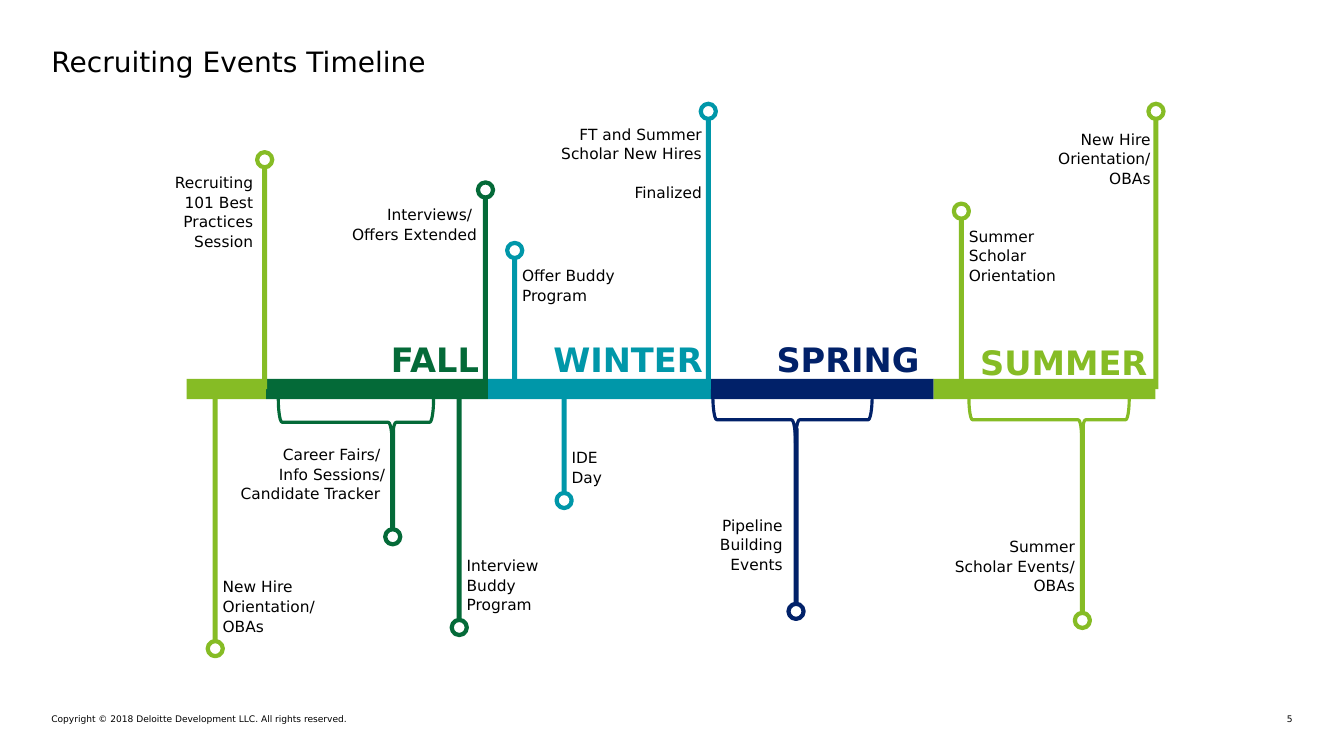
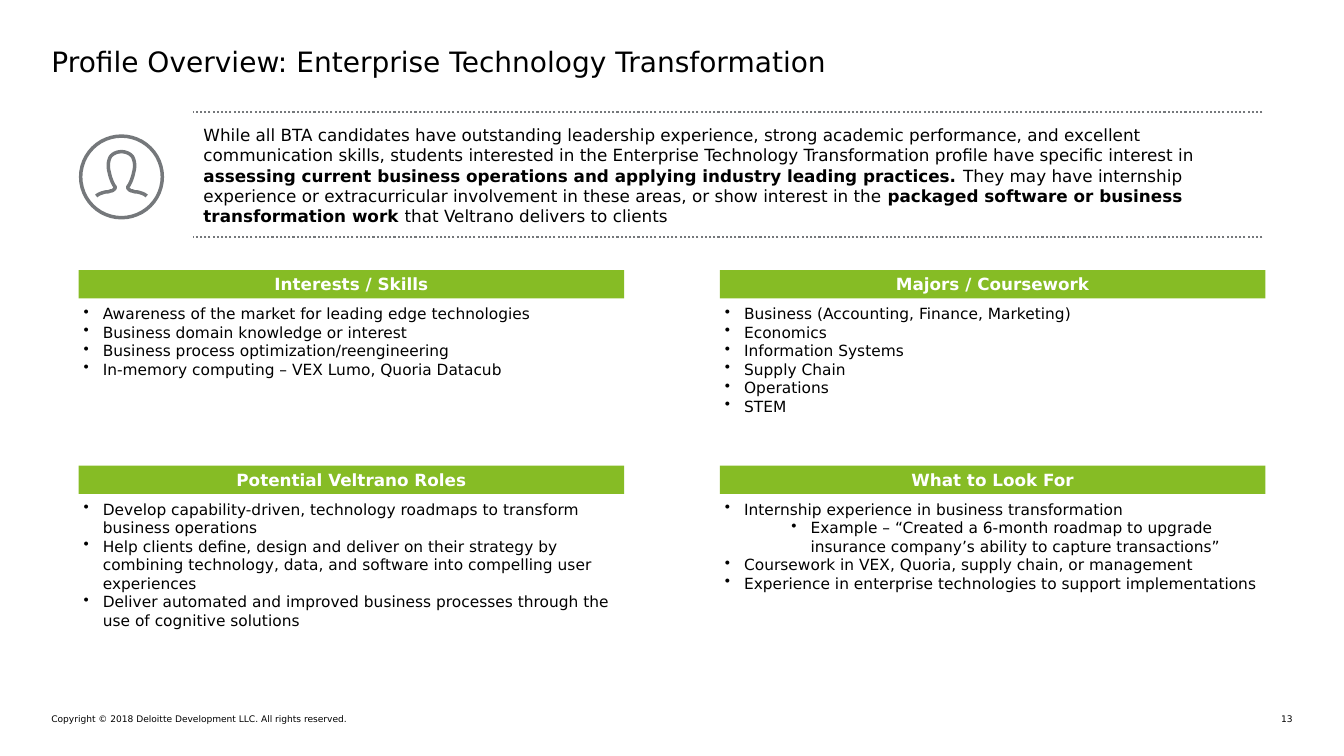
"""Build a recruiting timeline and a candidate profile slide."""
import dataclasses

import lxml.etree
import pptx
import pptx.dml.color
import pptx.enum.dml
import pptx.enum.shapes
import pptx.enum.text
import pptx.oxml.ns
import pptx.util

Inches = pptx.util.Inches
SHAPE = pptx.enum.shapes.MSO_SHAPE
ALIGN = pptx.enum.text.PP_ALIGN
ANCHOR = pptx.enum.text.MSO_ANCHOR


@dataclasses.dataclass(frozen=True)
class Theme:
    """Colours, type sizes and line widths of the deck."""
    font: str = "DejaVu Sans"
    black: str = "000000"
    white: str = "FFFFFF"
    grey: str = "75787B"
    lime: str = "86BC25"
    green: str = "046A38"
    teal: str = "0097A9"
    navy: str = "012169"
    title: float = 20
    season: float = 24
    heading: float = 12
    body: float = 11
    footer: float = 6.5
    ring_line: float = 3
    brace_line: float = 2.25
    icon_line: float = 2.5
    rule_line: float = 1.5


@dataclasses.dataclass(frozen=True)
class Box:
    """A rectangle in inches."""
    left: float
    top: float
    width: float
    height: float

    def inside(self, left, top, width, height):
        """Return a box offset from this one's top left corner."""
        return Box(self.left + left, self.top + top, width, height)

    def lengths(self):
        """Return the four lengths for a shape call."""
        return [Inches(value) for value in dataclasses.astuple(self)]


THEME = Theme()
NO_INSET = (0, 0, 0, 0)
TEXT_INSET = (0.1, 0.05, 0.1, 0.05)
COPYRIGHT = "Copyright © 2018 Deloitte Development LLC. All rights reserved."


def colour(code):
    """Turn a hex code into a colour."""
    return pptx.dml.color.RGBColor.from_string(code)


def apply(target, values):
    """Set each named attribute on the target."""
    for name, value in values.items():
        setattr(target, name, value)


def add_spans(para, spans, size, ink, bold=False):
    """Add a string, or (text, bold) pairs, to a paragraph."""
    if isinstance(spans, str):
        spans = [(spans, bold)]
    for text, weight in spans:
        span = para.add_run()
        span.text = text
        apply(span.font, {"name": THEME.font, "size": pptx.util.Pt(size), "bold": weight})
        span.font.color.rgb = colour(ink)


def fill_frame(frame, paras, size, ink=THEME.black, bold=False, inset=NO_INSET,
               anchor=ANCHOR.TOP, **layout):
    """Write paragraphs into a text frame and return them."""
    sides = ("margin_left", "margin_top", "margin_right", "margin_bottom")
    apply(frame, dict(zip(sides, map(Inches, inset))))
    apply(frame, {"word_wrap": True, "vertical_anchor": anchor})
    for index, spans in enumerate(paras):
        para = frame.add_paragraph() if index else frame.paragraphs[0]
        apply(para, layout)
        add_spans(para, spans, size, ink, bold)
    return frame.paragraphs


def add_text(page, box, paras, size, **style):
    """Add a text box and return its paragraphs."""
    frame = page.shapes.add_textbox(*box.lengths()).text_frame
    return fill_frame(frame, paras, size, **style)


def style_shape(shape, fill=None, line=None, width=0):
    """Give a shape a flat fill and an optional outline."""
    shape.shadow.inherit = False
    if fill:
        shape.fill.solid()
        shape.fill.fore_color.rgb = colour(fill)
    else:
        shape.fill.background()
    if line:
        shape.line.color.rgb = colour(line)
        shape.line.width = pptx.util.Pt(width)
    else:
        shape.line.fill.background()
    return shape


def add_shape(page, kind, box, **style):
    """Add a flat preset shape."""
    return style_shape(page.shapes.add_shape(kind, *box.lengths()), **style)


def add_page(deck, title, number):
    """Add a blank slide with title, copyright line and number."""
    page = deck.slides.add_slide(deck.slide_layouts[6])
    add_text(page, Box(0.51, 0.44, 12.31, 0.37), [title], THEME.title)
    add_text(page, Box(0.51, 7.08, 5.86, 0.11), [COPYRIGHT], THEME.footer)
    add_text(page, Box(12.48, 7.08, 0.34, 0.11), [number], THEME.footer,
             alignment=ALIGN.RIGHT)
    return page


@dataclasses.dataclass(frozen=True)
class Event:
    """A ringed stem, measured from the axis corner, with its label."""
    ink: str
    stem: float
    ring: float
    label_top: float
    label_width: float
    lines: int
    paras: tuple
    reach: float = 0
    base: float = 0.1
    gap: float = 0


SEASONS = (
    ("", THEME.lime, 0.79, 0, 0),
    ("FALL", THEME.green, 2.2, 0.09, 0.4),
    ("WINTER", THEME.teal, 2.21, 0.08, 0.4),
    ("SPRING", THEME.navy, 2.21, 0.14, 0.4),
    ("SUMMER", THEME.lime, 2.2, 0.08, 0.37),
)

BRACES = (
    (THEME.green, 0.91, 0.2, 1.54, 0.46, 2.04),
    (THEME.navy, 5.22, 0.17, 1.58, 0.47, 6.04),
    (THEME.lime, 7.76, 0.19, 1.59, 0.43, 8.88),
)

EVENTS = (
    Event(THEME.lime, 0.75, -2.25, -2.1, 1.06, 4,
          ("Recruiting 101 Best Practices Session",), 0.01),
    Event(THEME.green, 2.94, -1.95, -1.78, 1.89, 2,
          ("Interviews/ ", "Offers Extended"), 0.04),
    Event(THEME.teal, 5.15, -2.73, -2.58, 1.62, 4,
          ("FT and Summer Scholar New Hires", "Finalized"), 0.06, gap=13.6),
    Event(THEME.lime, 9.59, -2.73, -2.53, 1.22, 3,
          ("New Hire Orientation/ OBAs",), 0.07),
    Event(THEME.lime, 0.26, 2.6, 1.91, 1.14, 3, ("New Hire Orientation/ OBAs",)),
    Event(THEME.green, 2.02, 1.49, 0.6, 1.68, 3,
          ("Career Fairs/ ", "Info Sessions/", "Candidate Tracker "), 0.05, 0.5),
    Event(THEME.green, 2.68, 2.39, 1.7, 1.18, 3, ("Interview Buddy Program",)),
    Event(THEME.teal, 3.23, -1.35, -1.18, 1.33, 2, ("Offer Buddy", "Program")),
    Event(THEME.teal, 3.72, 1.13, 0.63, 0.58, 2, ("IDE Day",)),
    Event(THEME.navy, 6.02, 2.23, 1.3, 2.04, 3,
          ("Pipeline ", "Building ", "Events "), 0.04, 0.49),
    Event(THEME.lime, 7.66, -1.74, -1.57, 1.19, 3, ("Summer Scholar Orientation",)),
    Event(THEME.lime, 8.86, 2.32, 1.51, 1.45, 3,
          ("Summer Scholar Events/ OBAs",), 0.05, 0.44),
)


def draw_seasons(page, axis):
    """Lay the season bars end to end, each name above its right end."""
    left = 0
    for name, ink, width, margin, rise in SEASONS:
        add_shape(page, SHAPE.RECTANGLE, axis.inside(left, 0, width, axis.height), fill=ink)
        left += width
        if name:
            add_text(page, axis.inside(left - margin - 1.86, -rise, 1.86, 0.4), [name],
                     THEME.season, ink=ink, bold=True, alignment=ALIGN.RIGHT)


def draw_brace(page, axis, ink, left, top, span, depth, tip):
    """Hang a downward brace whose point sits at the tip."""
    shift = (span - depth) / 2
    brace = add_shape(page, SHAPE.RIGHT_BRACE,
                      axis.inside(left + shift, top - shift, depth, span),
                      line=ink, width=THEME.brace_line)
    brace.rotation = 90
    brace.adjustments[1] = (left + span - tip) / span


def draw_event(page, axis, event):
    """Draw the stem, ring and label of one event."""
    ring, stem = 0.15, 0.05
    start, end = sorted((event.base, event.ring + ring / 2))
    add_shape(page, SHAPE.RECTANGLE, axis.inside(event.stem, start, stem, end - start),
              fill=event.ink)
    add_shape(page, SHAPE.OVAL,
              axis.inside(event.stem - (ring - stem) / 2, event.ring, ring, ring),
              fill=THEME.white, line=event.ink, width=THEME.ring_line)
    left = event.stem + event.reach - (event.label_width if event.reach else 0)
    paras = add_text(page, axis.inside(left, event.label_top, event.label_width,
                                       0.1 + 0.2 * event.lines),
                     event.paras, THEME.body, inset=TEXT_INSET, line_spacing=1.06,
                     alignment=ALIGN.RIGHT if event.reach else ALIGN.LEFT)
    for para in paras[1:]:
        para.space_before = pptx.util.Pt(event.gap)


def build_timeline(deck):
    """Build the recruiting timeline slide."""
    page = add_page(deck, "Recruiting Events Timeline", "5")
    axis = Box(1.85, 3.76, 9.61, 0.2)
    draw_seasons(page, axis)
    for brace in BRACES:
        draw_brace(page, axis, *brace)
    for event in EVENTS:
        draw_event(page, axis, event)


SUMMARY = (
    ("While all BTA candidates have outstanding leadership experience, strong academic "
     "performance, and excellent communication skills, students interested in the "
     "Enterprise Technology Transformation profile have specific interest in ", False),
    ("assessing current business operations and applying industry leading practices. ", True),
    ("They may have internship experience or extracurricular involvement in these areas, "
     "or show interest in the ", False),
    ("packaged software or business transformation work ", True),
    ("that Veltrano delivers to clients", False),
)

PANELS = (
    ("Interests / Skills", (
        (0, "Awareness of the market for leading edge technologies"),
        (0, "Business domain knowledge or interest"),
        (0, "Business process optimization/reengineering"),
        (0, "In-memory computing – VEX Lumo, Quoria Datacub"))),
    ("Majors / Coursework", tuple((0, subject) for subject in (
        "Business (Accounting, Finance, Marketing)", "Economics", "Information Systems",
        "Supply Chain", "Operations", "STEM"))),
    ("Potential Veltrano Roles", (
        (0, "Develop capability-driven, technology roadmaps to transform business operations"),
        (0, "Help clients define, design and deliver on their strategy by combining "
            "technology, data, and software into compelling user experiences"),
        (0, "Deliver automated and improved business processes through the use of "
            "cognitive solutions"))),
    ("What to Look For", (
        (0, "Internship experience in business transformation"),
        (1, "Example – “Created a 6-month roadmap to upgrade insurance company’s ability "
            "to capture transactions”"),
        (0, "Coursework in VEX, Quoria, supply chain, or management"),
        (0, "Experience in enterprise technologies to support implementations"))),
)

BUST_START = (0, -0.25)
BUST_CURVES = (
    ((0.03, -0.25), (0.08, -0.24), (0.11, -0.2)),
    ((0.13, -0.16), (0.14, -0.11), (0.12, -0.04)),
    ((0.11, 0.01), (0.09, 0.06), (0.07, 0.09)),
    ((0.06, 0.1), (0.06, 0.11), (0.07, 0.12)),
    ((0.08, 0.13), (0.09, 0.14), (0.11, 0.14)),
    ((0.13, 0.15), (0.15, 0.15), (0.16, 0.15)),
    ((0.2, 0.16), (0.23, 0.17), (0.25, 0.19)),
)


def bust_outline(steps=8):
    """Sample the right half of the bust and mirror it."""
    half = [BUST_START]
    for first, second, last in BUST_CURVES:
        knots = (half[-1], first, second, last)
        for step in range(1, steps + 1):
            t = step / steps
            weights = ((1 - t) ** 3, 3 * t * (1 - t) ** 2, 3 * t * t * (1 - t), t ** 3)
            half.append(tuple(sum(weight * knot[axis] for weight, knot in zip(weights, knots))
                              for axis in (0, 1)))
    return [(-x, y) for x, y in reversed(half[1:])] + half


def draw_person(page, box):
    """Draw a circled bust outline."""
    stroke = {"line": THEME.grey, "width": THEME.icon_line}
    add_shape(page, SHAPE.OVAL, box, **stroke)
    points = [(Inches(box.left + box.width / 2 + x), Inches(box.top + box.height / 2 + y))
              for x, y in bust_outline()]
    builder = page.shapes.build_freeform(*points[0])
    builder.add_line_segments(points[1:], close=False)
    style_shape(builder.convert_to_shape(), **stroke)


def draw_summary(page, box):
    """Place the summary between two dotted rules."""
    for top in (box.top, box.top + box.height):
        rule = page.shapes.add_connector(
            pptx.enum.shapes.MSO_CONNECTOR.STRAIGHT, Inches(box.left + box.width),
            Inches(top), Inches(box.left), Inches(top))
        rule.line.color.rgb = colour(THEME.grey)
        apply(rule.line, {"width": pptx.util.Pt(THEME.rule_line),
                          "dash_style": pptx.enum.dml.MSO_LINE.ROUND_DOT})
        lxml.etree.SubElement(rule._element.spPr, pptx.oxml.ns.qn("a:effectLst"))
    add_text(page, box.inside(0.01, 0.08, 10.6, 1.11), [SUMMARY], THEME.heading,
             inset=TEXT_INSET)


def draw_panel(page, box, heading, items):
    """Draw a heading band over a bulleted list."""
    band = add_shape(page, SHAPE.RECTANGLE, box.inside(0, 0, box.width, 0.28), fill=THEME.lime)
    fill_frame(band.text_frame, [heading], THEME.heading, ink=THEME.white, bold=True,
               inset=(0.07, 0, 0.07, 0), anchor=ANCHOR.MIDDLE, alignment=ALIGN.CENTER)
    paras = add_text(page, box.inside(0.05, 0.34, 5.33, box.height - 0.34),
                     [text for level, text in items], THEME.body)
    for para, (level, text) in zip(paras, items):
        para.level = level
        properties = para._p.get_or_add_pPr()
        properties.set("marL", str(Inches((0.19, 0.85)[level])))
        properties.set("indent", str(Inches(-0.19)))
        lxml.etree.SubElement(properties, pptx.oxml.ns.qn("a:buChar")).set("char", "•")


def build_profile(deck):
    """Build the candidate profile slide."""
    page = add_page(deck, "Profile Overview: Enterprise Technology Transformation", "13")
    draw_person(page, Box(0.8, 1.35, 0.81, 0.81))
    draw_summary(page, Box(1.91, 1.11, 10.61, 1.24))
    for index, (heading, items) in enumerate(PANELS):
        row, column = divmod(index, 2)
        draw_panel(page, Box(0.78 + 6.36 * column, 2.68 + 1.94 * row, 5.41, 1.7), heading, items)


def main():
    """Build and save the deck."""
    deck = pptx.Presentation()
    apply(deck, {"slide_width": Inches(13.33), "slide_height": Inches(7.5)})
    build_timeline(deck)
    build_profile(deck)
    deck.save("out.pptx")


if __name__ == "__main__":
    main()
